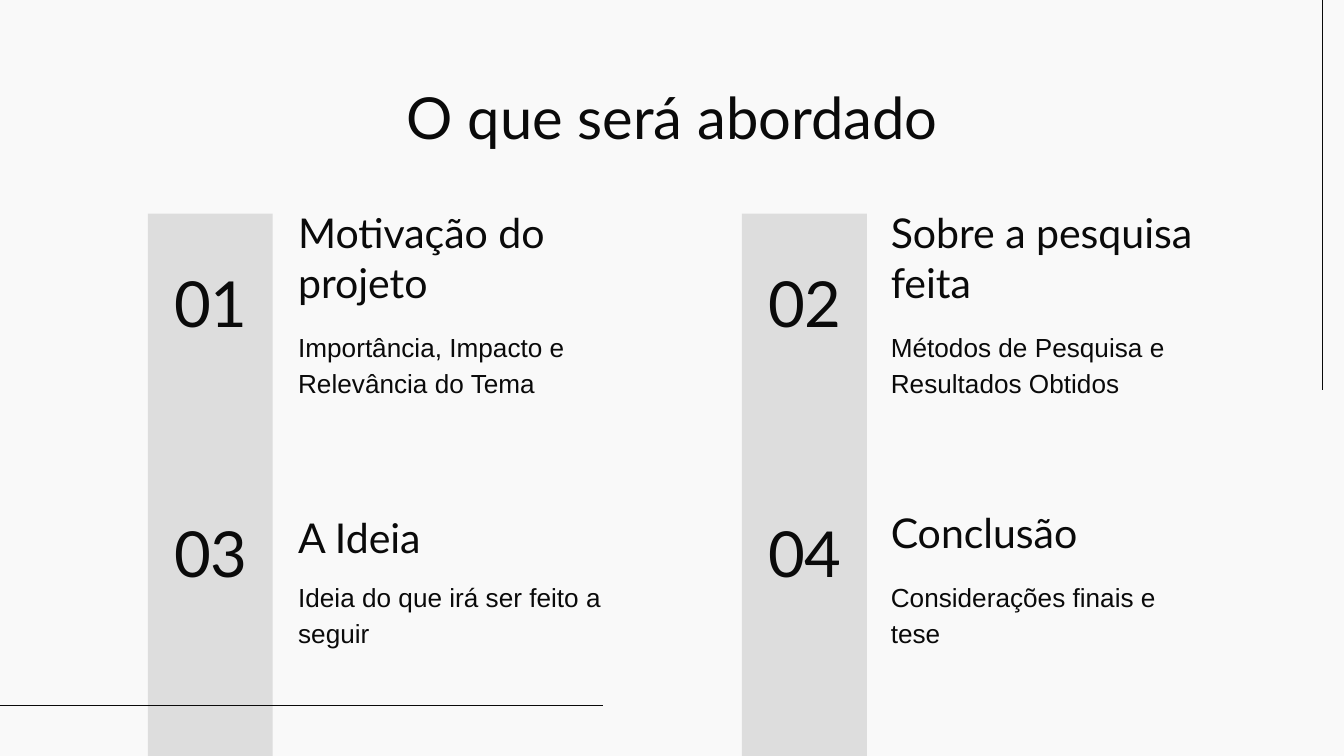
from pptx import Presentation, util as u
from pptx.dml.color import RGBColor
from pptx.enum import shapes, text
from pptx.oxml.ns import qn
from lxml import etree

INK = RGBColor(0x0A, 0x0A, 0x0A)
BAR = RGBColor(0xDD, 0xDD, 0xDD)
PAPER = RGBColor(0xF9, 0xF9, 0xF9)

TOP, MIDDLE, BOTTOM = (
    text.MSO_ANCHOR.TOP, text.MSO_ANCHOR.MIDDLE, text.MSO_ANCHOR.BOTTOM)
LEFT, CENTER = text.PP_ALIGN.LEFT, text.PP_ALIGN.CENTER

STYLES = {
    "title": dict(font="Lato", size=31, anchor=TOP, align=CENTER, spacing=None),
    "number": dict(font="Lato", size=34, anchor=MIDDLE, align=CENTER, spacing=None),
    "heading": dict(font="Lato", size=22, anchor=BOTTOM, align=LEFT, spacing=None),
    "body": dict(font="Arial", size=14, anchor=TOP, align=LEFT, spacing=1.15),
}


class Deck:
    def __init__(self, prs):
        self.s = prs.slides.add_slide(prs.slide_layouts[6])
        fill = self.s.background.fill
        fill.solid()
        fill.fore_color.rgb = PAPER

    def bar(self, *box):
        sp = self.s.shapes.add_shape(
            shapes.MSO_SHAPE.RECTANGLE, *map(u.Inches, box))
        sp.shadow.inherit = False
        sp.fill.solid()
        sp.fill.fore_color.rgb = BAR
        sp.line.fill.background()

    def line(self, *ends):
        cn = self.s.shapes.add_connector(
            shapes.MSO_CONNECTOR.STRAIGHT, *map(u.Inches, ends))
        cn.line.color.rgb = INK
        cn.line.width = u.Pt(0.75)
        etree.SubElement(cn._element.spPr, qn("a:effectLst"))

    def text(self, words, style, *box):
        st = STYLES[style]
        tf = self.s.shapes.add_textbox(*map(u.Inches, box)).text_frame
        frame = {"word_wrap": True, "vertical_anchor": st["anchor"]}
        for side in ("left", "top", "right", "bottom"):
            frame[f"margin_{side}"] = u.Inches(0.1)
        p = tf.paragraphs[0]
        r = p.add_run()
        r.text = words
        r.font.color.rgb = INK
        formats = (
            (tf, frame),
            (p, {"alignment": st["align"], "line_spacing": st["spacing"]}),
            (r.font, {"name": st["font"], "size": u.Pt(st["size"])}),
        )
        for target, values in formats:
            for name, value in values.items():
                setattr(target, name, value)


def main():
    prs = Presentation()
    prs.slide_width = u.Inches(10)
    prs.slide_height = u.Inches(10 * 9 / 16)
    deck = Deck(prs)

    bars, text_lefts = (1.1, 5.52), (2.12, 6.53)
    row_top, row_step = 1.5, 1.86
    topics = (
        ("Motivação do projeto", "Importância, Impacto e Relevância do Tema", 0, 2.5, 0.88),
        ("Sobre a pesquisa feita", "Métodos de Pesquisa e Resultados Obtidos", 0, 2.5, 0.88),
        ("A Ideia", "Ideia do que irá ser feito a seguir", 0.36, 1.29, 0.56),
        ("Conclusão", "Considerações finais e tese", 0, 2.5, 0.88),
    )

    deck.line(9.84, 2.9, 9.84, 0)
    for x in reversed(bars):
        deck.bar(x, 1.59, 0.93, 4.04)
    deck.line(0, 5.25, 4.49, 5.25)
    deck.text("O que será abordado", "title", 0.78, 0.51, 8.44, 0.6)

    for i, (heading, body, drop, width, height) in enumerate(topics):
        row, col = divmod(i, 2)
        x, y = text_lefts[col], row_top + row * row_step
        deck.text(body, "body", x, y + 0.83, 2.5, 0.71)
        deck.text(heading, "heading", x, y + drop, width, height)
        deck.text(f"{i + 1:02}", "number", bars[col] - 0.01, y + 0.12, 0.96, 1.26)

    prs.save("out.pptx")


if __name__ == "__main__":
    main()
